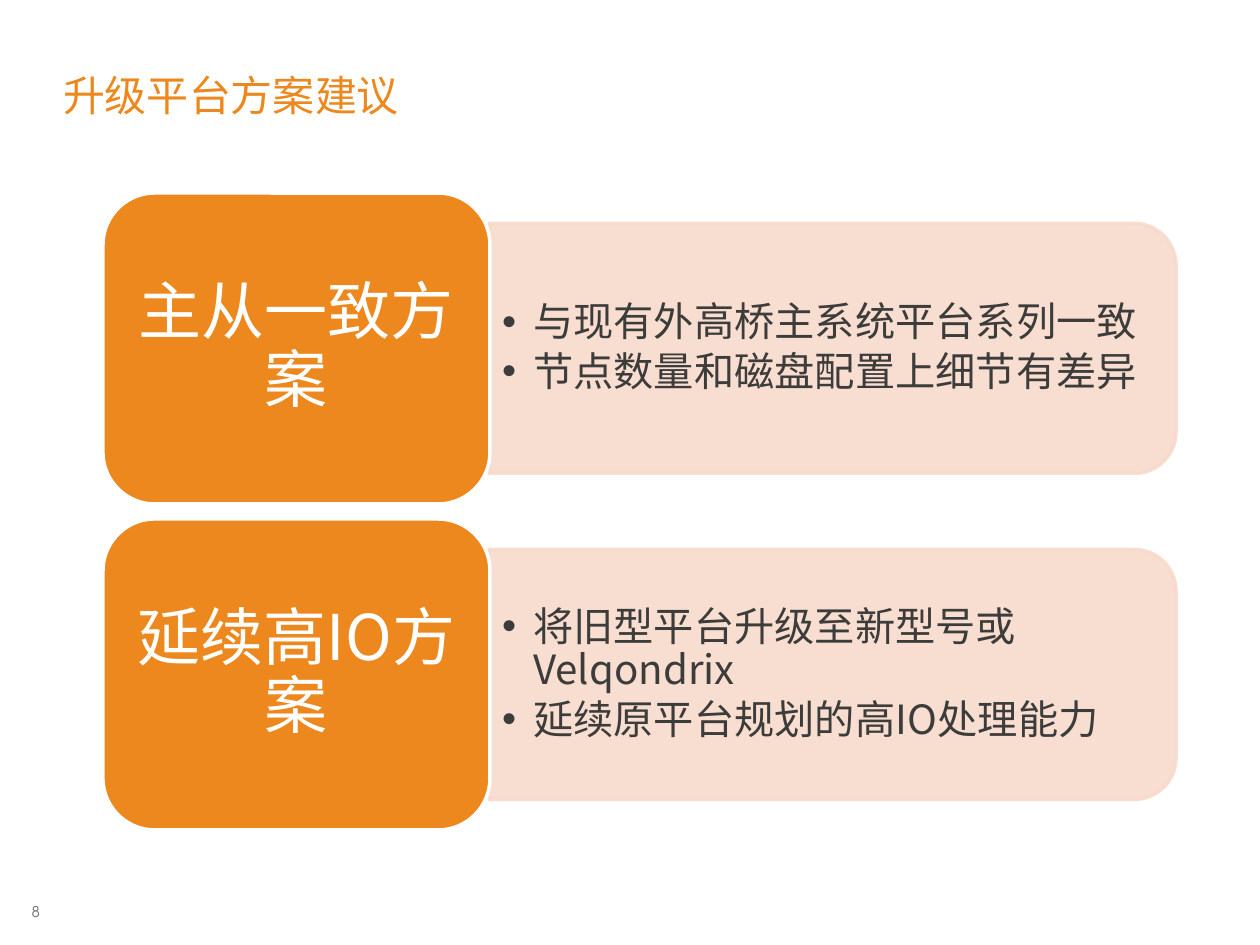
from dataclasses import dataclass

from lxml import etree
from pptx import Presentation
from pptx import util as u
from pptx.dml.color import RGBColor
from pptx.enum import lang, shapes, text
from pptx.oxml.ns import qn

TITLE = "升级平台方案建议"
PAGE_NUMBER = "8"
PLANS = [
    ("主从一致方案", ["与现有外高桥主系统平台系列一致", "节点数量和磁盘配置上细节有差异"]),
    ("延续高IO方案", ["将旧型平台升级至新型号或Velqondrix", "延续原平台规划的高IO处理能力"]),
]


@dataclass(frozen=True)
class Theme:
    accent: str = "EC881D"
    panel: str = "F8DACD"
    panel_alpha: int = 90
    white: str = "FFFFFF"
    body: str = "3C3C3B"
    muted: str = "6C6C6C"
    heading_font: str = "TeX Gyre Adventor"
    body_font: str = "Noto Sans CJK SC"
    title_size: float = 24
    plan_size: float = 36
    point_size: float = 23
    number_size: float = 8.5
    outline: float = 2


THEME = Theme()
PX_PER_INCH = 126
SLIDE_W, SLIDE_H = 1260, 945
CARD_X, CARD_Y, CARD_W, CARD_H = 103, 193, 387, 311
CARD_STEP = 326
PANEL_W, PANEL_H = 687, 250
POINTS_W, POINTS_H = 674, 224
BULLET_INDENT = 31


def px(length):
    return u.Emu(round(length * u.Inches(1) / PX_PER_INCH))


def place(shape, left, top, width, height):
    shape.left, shape.top = px(left), px(top)
    shape.width, shape.height = px(width), px(height)


def set_frame(frame, anchor, inset_x=0, inset_y=0):
    frame.word_wrap = True
    frame.auto_size = text.MSO_AUTO_SIZE.NONE
    frame.vertical_anchor = anchor
    frame.margin_left = frame.margin_right = px(inset_x)
    frame.margin_top = frame.margin_bottom = px(inset_y)


def style(paragraph, size, color, font, align, spacing=1.0, after=0):
    paragraph.alignment = align
    paragraph.line_spacing = spacing
    paragraph.space_before = u.Pt(0)
    paragraph.space_after = u.Pt(after)
    for run in paragraph.runs:
        run.font.size = u.Pt(size)
        run.font.name = font
        run.font.color.rgb = RGBColor.from_string(color)
        run.font.language_id = lang.MSO_LANGUAGE_ID.SIMPLIFIED_CHINESE
        latin = run.font._element.find(qn("a:latin"))
        east_asian = etree.Element(qn("a:ea"), typeface=THEME.body_font)
        latin.addnext(east_asian)


def paint(shape, fill, line):
    shape.shadow.inherit = False
    shape.fill.solid()
    shape.fill.fore_color.rgb = RGBColor.from_string(fill)
    shape.line.color.rgb = RGBColor.from_string(line)
    shape.line.width = u.Pt(THEME.outline)


def add_panel(slide, left, middle):
    panel = slide.shapes.add_shape(shapes.MSO_SHAPE.ROUND_2_SAME_RECTANGLE, 0, 0, 0, 0)
    place(panel, left + (PANEL_W - PANEL_H) / 2, middle - PANEL_W / 2, PANEL_H, PANEL_W)
    panel.rotation = 90
    paint(panel, THEME.panel, THEME.panel)
    for color in panel.element.spPr.iter(qn("a:srgbClr")):
        etree.SubElement(color, qn("a:alpha"), val=str(THEME.panel_alpha * 1000))
    return panel


def fill_points(body, points, left, middle):
    place(body, left, middle - POINTS_H / 2, POINTS_W, POINTS_H)
    frame = body.text_frame
    frame.text = "\n".join(points)
    set_frame(frame, text.MSO_ANCHOR.MIDDLE, 13, 6)
    for paragraph in frame.paragraphs:
        style(paragraph, THEME.point_size, THEME.body, THEME.body_font,
              text.PP_ALIGN.LEFT, 0.9, THEME.point_size * 0.15)
        properties = paragraph._p.get_or_add_pPr()
        properties.set("marL", str(px(BULLET_INDENT)))
        properties.set("indent", str(-px(BULLET_INDENT)))
        etree.SubElement(properties, qn("a:buChar"), char="•")


def add_card(slide, name, top):
    card = slide.shapes.add_shape(shapes.MSO_SHAPE.ROUNDED_RECTANGLE, 0, 0, 0, 0)
    place(card, CARD_X, top, CARD_W, CARD_H)
    paint(card, THEME.accent, THEME.white)
    card.text_frame.text = name
    set_frame(card.text_frame, text.MSO_ANCHOR.MIDDLE, 19, 9)
    style(card.text_frame.paragraphs[0], THEME.plan_size, THEME.white, THEME.body_font,
          text.PP_ALIGN.CENTER, 0.9, THEME.plan_size * 0.35)


def main():
    deck = Presentation()
    deck.slide_width, deck.slide_height = px(SLIDE_W), px(SLIDE_H)
    slide = deck.slides.add_slide(deck.slide_layouts.get_by_name("Two Content"))
    title, *bodies = slide.placeholders

    place(title, 63, 24, 1134, 97)
    title.text_frame.text = TITLE
    set_frame(title.text_frame, text.MSO_ANCHOR.BOTTOM)
    style(title.text_frame.paragraphs[0], THEME.title_size, THEME.accent,
          THEME.heading_font, text.PP_ALIGN.LEFT, 0.95)

    panel_x = CARD_X + CARD_W - 1
    for row, ((name, points), body) in enumerate(zip(PLANS, bodies)):
        top = CARD_Y + row * CARD_STEP
        middle = top + CARD_H / 2
        panel = add_panel(slide, panel_x, middle)
        body.element.addprevious(panel.element)
        fill_points(body, points, panel_x, middle)
        add_card(slide, name, top)

    number = slide.shapes.add_textbox(px(21), px(903), px(19), px(18))
    number.text_frame.text = PAGE_NUMBER
    set_frame(number.text_frame, text.MSO_ANCHOR.TOP)
    style(number.text_frame.paragraphs[0], THEME.number_size, THEME.muted,
          THEME.heading_font, text.PP_ALIGN.RIGHT)

    deck.save("out.pptx")


if __name__ == "__main__":
    main()
